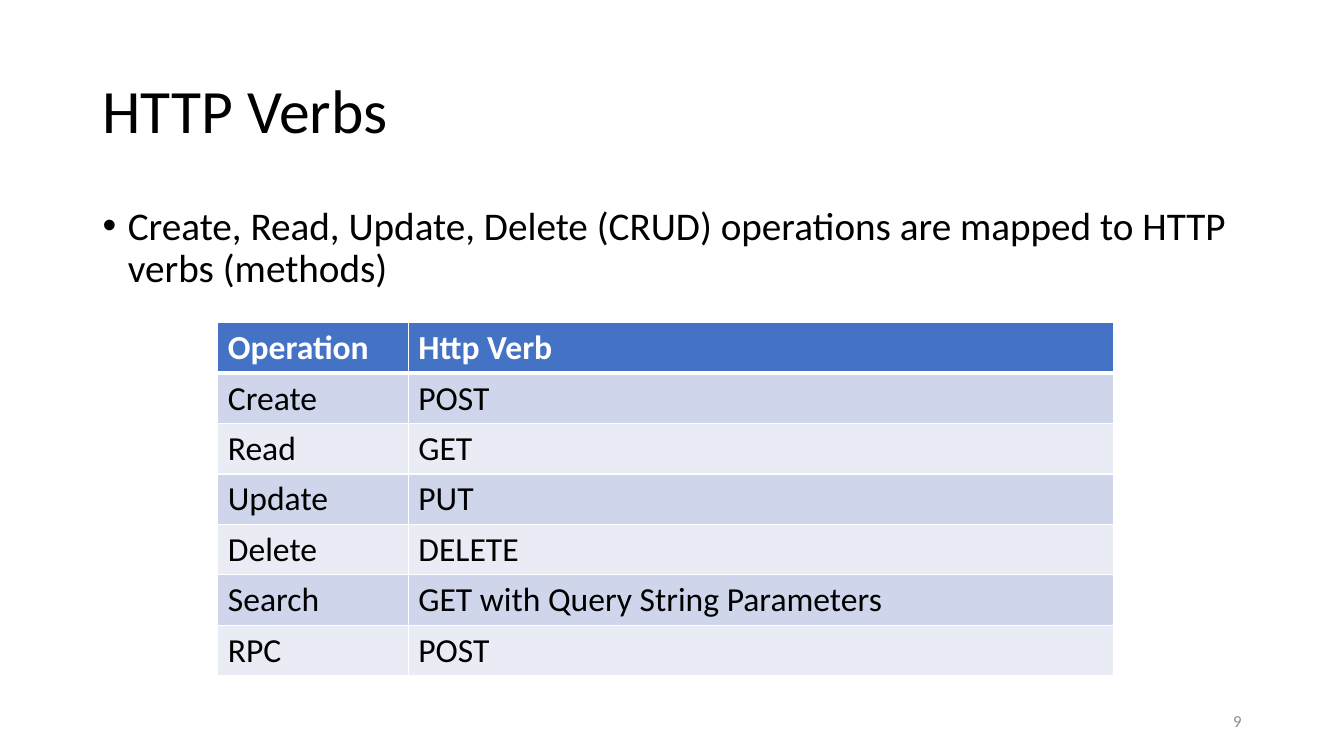
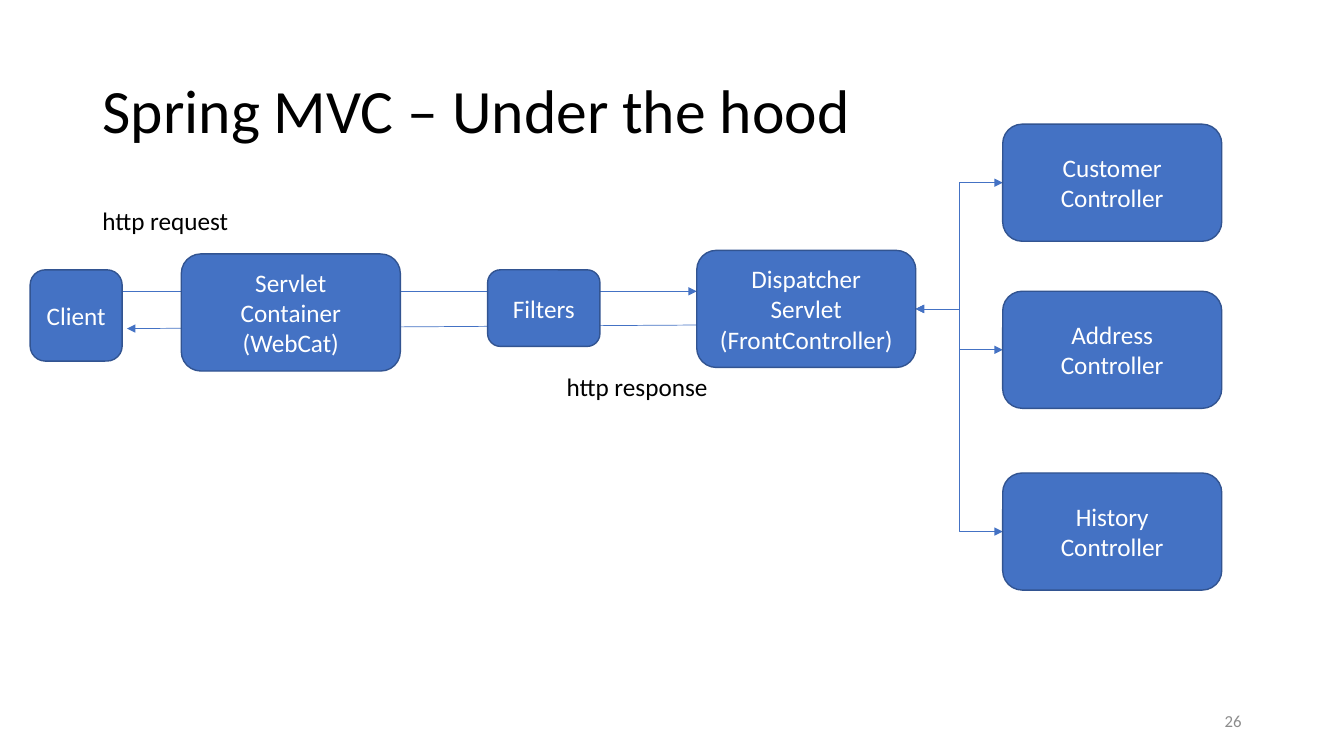
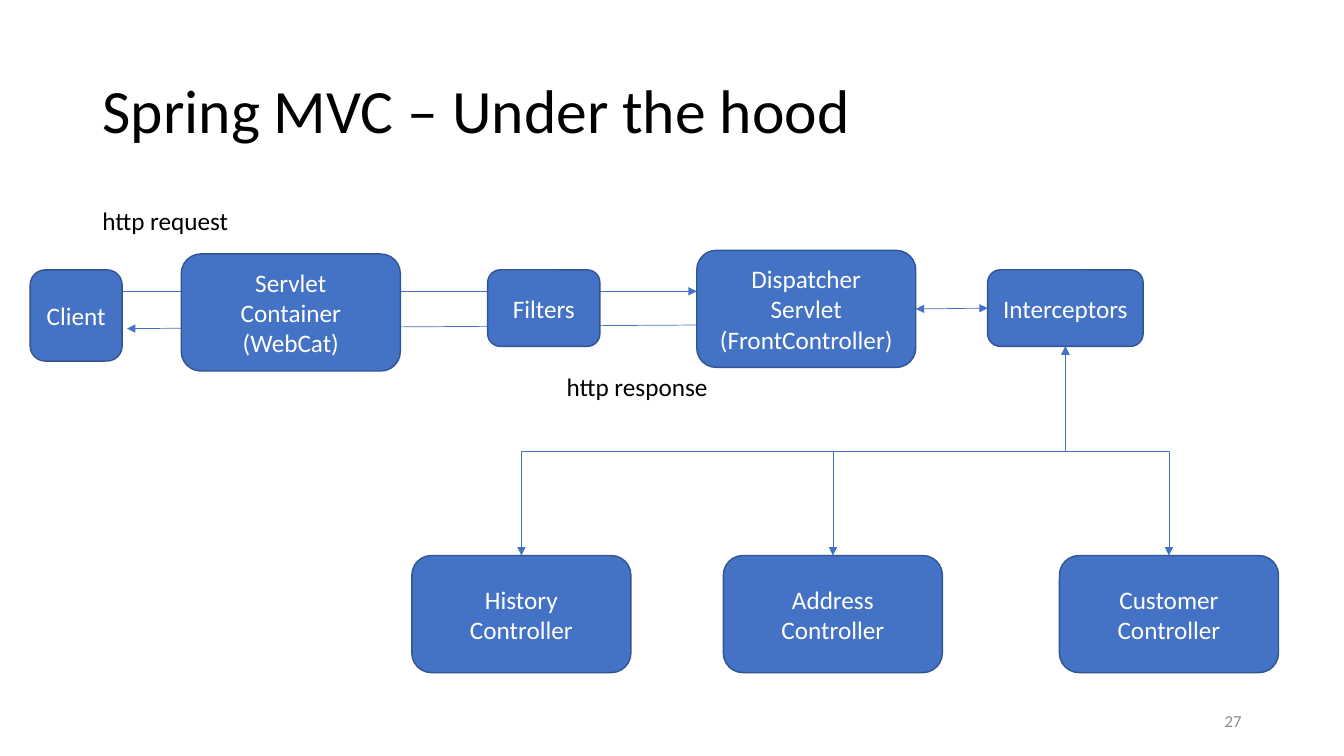
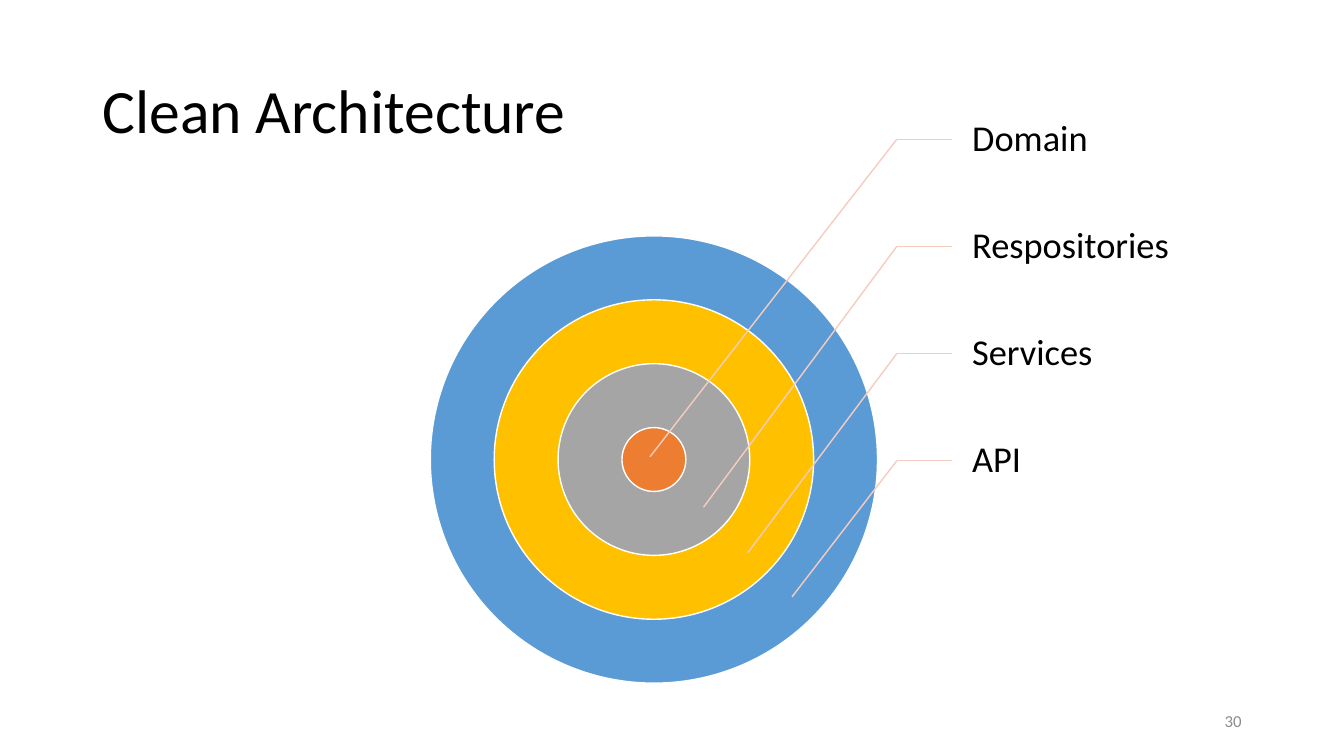
from dataclasses import dataclass
from typing import Any, NamedTuple

from lxml.etree import SubElement
from pptx import Presentation
from pptx.dml.color import RGBColor
from pptx.enum.shapes import MSO_CONNECTOR as Link, MSO_SHAPE as Preset
from pptx.enum.text import MSO_ANCHOR as Anchor, MSO_AUTO_SIZE as AutoSize, PP_ALIGN as Align
from pptx.oxml.ns import qn
from pptx.util import Cm, Pt


# Theme
@dataclass(frozen=True)
class Theme:
    font: str = "Calibri"
    text: str = "000000"
    white: str = "FFFFFF"
    muted: str = "8C8C8C"
    accent: str = "4472C4"
    outline: str = "325491"
    leader: str = "F6CCBE"
    bands: tuple[str, ...] = ("CFD5EA", "E9EBF5")
    rings: tuple[str, ...] = ("ED7D31", "A5A5A5", "FFC000", "5B9BD5")
    title_size: int = 44
    body_size: int = 28
    callout_size: int = 26
    table_size: int = 24
    label_size: int = 18
    number_size: int = 12


THEME = Theme()
LAYOUT_CONTENT, LAYOUT_TITLE = 1, 5


# Elements, with lengths in centimetres
class Point(NamedTuple):
    x: float
    y: float


@dataclass(frozen=True)
class Box:
    left: float
    top: float
    width: float
    height: float
    text: str = ""

    def edge(self, across: float, down: float) -> Point:
        """Point at the given fractions of the width and height."""
        return Point(self.left + across * self.width, self.top + down * self.height)

    def lengths(self) -> tuple[Cm, ...]:
        return tuple(Cm(v) for v in (self.left, self.top, self.width, self.height))


@dataclass(frozen=True)
class Line:
    start: Point
    end: Point
    head: bool = False
    tail: bool = False
    bend: str = ""  # "across" or "down": direction of the first leg
    color: str = THEME.accent
    width: float = 0.5


# Formatting helpers
def rgb(value: str) -> RGBColor:
    return RGBColor.from_string(value)


def assign(target: Any, values: dict[str, Any]) -> None:
    for name, value in values.items():
        setattr(target, name, value)


def format_text(tf: Any, size: float, color: str = THEME.text, bold: bool = False,
                paragraph: dict[str, Any] | None = None) -> None:
    for p in tf.paragraphs:
        assign(p, paragraph or {})
        for r in p.runs:
            assign(r.font, {"name": THEME.font, "size": Pt(size), "bold": bold})
            r.font.color.rgb = rgb(color)


def fill_placeholder(sp: Any, box: Box, size: float, frame: dict[str, Any],
                     paragraph: dict[str, Any]) -> None:
    assign(sp, dict(zip(("left", "top", "width", "height"), box.lengths())))
    tf = sp.text_frame
    tf.text = box.text
    assign(tf, {"auto_size": AutoSize.NONE, "word_wrap": True, **frame})
    format_text(tf, size, paragraph={"alignment": Align.LEFT, "line_spacing": 0.9, **paragraph})


def add_text(s: Any, box: Box, size: float, color: str = THEME.text,
             frame: dict[str, Any] | None = None,
             paragraph: dict[str, Any] | None = None) -> None:
    tf = s.shapes.add_textbox(*box.lengths()).text_frame
    tf.text = box.text
    assign(tf, {"word_wrap": True, **(frame or {})})
    format_text(tf, size, color, paragraph=paragraph)


def add_preset(s: Any, preset: Any, box: Box, fill: str, outline: str) -> None:
    sp = s.shapes.add_shape(preset, *box.lengths())
    sp.shadow.inherit = False
    sp.fill.solid()
    sp.fill.fore_color.rgb = rgb(fill)
    sp.line.color.rgb = rgb(outline)
    sp.line.width = Pt(1)
    tf = sp.text_frame
    tf.text = box.text
    tf.vertical_anchor = Anchor.MIDDLE
    format_text(tf, THEME.label_size, THEME.white, paragraph={"alignment": Align.CENTER})


def add_line(s: Any, line: Line) -> None:
    start, end, turn = line.start, line.end, 0
    if line.bend == "down":
        # A downward first leg is an elbow laid on its side, then turned
        dx, dy = end.x - start.x, end.y - start.y
        mid = Point((start.x + end.x) / 2, (start.y + end.y) / 2)
        side = 1 if dx < 0 else -1
        start = Point(mid.x - side * dy / 2, mid.y - abs(dx) / 2)
        end = Point(mid.x + side * dy / 2, mid.y + abs(dx) / 2)
        turn = 90 if dx < 0 else 270
    kind = Link.ELBOW if line.bend else Link.STRAIGHT
    c = s.shapes.add_connector(kind, *(Cm(v) for v in (*start, *end)))
    c.line.color.rgb = rgb(line.color)
    c.line.width = Pt(line.width)
    props = c._element.spPr
    if turn:
        props.find(qn("a:xfrm")).set("rot", str(turn * 60000))
    for tag, shown in (("a:headEnd", line.head), ("a:tailEnd", line.tail)):
        if shown:
            SubElement(props.find(qn("a:ln")), qn(tag), type="triangle")
    SubElement(props, qn("a:effectLst"))


def add_borders(cell: Any, widths: dict[str, float]) -> None:
    props = cell._tc.get_or_add_tcPr()
    for side, width in widths.items():
        ln = SubElement(props, qn(f"a:ln{side}"), w=str(Pt(width)))
        SubElement(SubElement(ln, qn("a:solidFill")), qn("a:srgbClr"), val=THEME.white)


# Shared slide frame
prs = Presentation()
prs.slide_width, prs.slide_height = Cm(33.87), Cm(19.05)


def new_slide(title: str, number: int, layout: int = LAYOUT_TITLE) -> Any:
    s = prs.slides.add_slide(prs.slide_layouts[layout])
    fill_placeholder(s.shapes.title, Box(2.33, 1.01, 29.21, 3.68, title), THEME.title_size,
                     {"vertical_anchor": Anchor.MIDDLE}, {})
    add_text(s, Box(23.92, 17.66, 7.62, 1.01, str(number)), THEME.number_size, THEME.muted,
             {"vertical_anchor": Anchor.MIDDLE}, {"alignment": Align.RIGHT})
    return s


# HTTP verbs table
VERBS = (
    ("Operation", "Http Verb"),
    ("Create", "POST"),
    ("Read", "GET"),
    ("Update", "PUT"),
    ("Delete", "DELETE"),
    ("Search", "GET with Query String Parameters"),
    ("RPC", "POST"),
)
VERB_COLUMNS = (4.8, 17.78)
VERB_ROW = 1.27


def build_verbs() -> None:
    s = new_slide("HTTP Verbs", 9, LAYOUT_CONTENT)
    intro = Box(2.33, 5.08, 29.21, 2.84, "Create, Read, Update, Delete (CRUD) operations "
                "are mapped to HTTP verbs (methods)")
    body = s.placeholders[1]
    fill_placeholder(body, intro, THEME.body_size, {"vertical_anchor": Anchor.TOP},
                     {"space_before": Pt(10)})
    indent = Cm(0.64)
    props = body.text_frame.paragraphs[0]._p.get_or_add_pPr()
    props.set("marL", str(indent))
    props.set("indent", str(-indent))
    SubElement(props, qn("a:buChar"), char="•")

    area = Box(5.49, 8.13, sum(VERB_COLUMNS), VERB_ROW * len(VERBS))
    table = s.shapes.add_table(len(VERBS), len(VERB_COLUMNS), *area.lengths()).table
    for column, width in zip(table.columns, VERB_COLUMNS):
        column.width = Cm(width)
    for i, row in enumerate(VERBS):
        header = i == 0
        fill = THEME.accent if header else THEME.bands[(i - 1) % 2]
        for j, text in enumerate(row):
            cell = table.cell(i, j)
            cell.text = text
            add_borders(cell, {"L": 1, "R": 1, "T": 3 if i == 1 else 1, "B": 3 if header else 1})
            cell.fill.solid()
            cell.fill.fore_color.rgb = rgb(fill)
            format_text(cell.text_frame, THEME.table_size,
                        THEME.white if header else THEME.text, bold=header)


# Request flow
LARGE = (5.52, 2.95)
CLIENT = Box(0.76, 6.8, 2.32, 2.3, "Client")
CONTAINER = Box(4.57, 6.4, *LARGE, "Servlet\nContainer\n(WebCat)")
FILTERS = Box(12.29, 6.8, 2.83, 1.93, "Filters")
DISPATCHER = Box(17.56, 6.31, *LARGE, "Dispatcher\nServlet\n(FrontController)")
INTERCEPTORS = Box(24.89, 6.8, 3.92, 1.93, "Interceptors")
FLOW_LABELS = (Box(2.33, 5.06, 3.73, 1.03, "http request"),
               Box(14.03, 9.22, 4.11, 1.03, "http response"))
FLOW_LINES = (Line(Point(3.08, 7.34), Point(17.56, 7.34), tail=True),
              Line(Point(17.56, 8.19), Point(3.2, 8.28), tail=True))


def controllers(corners: tuple[Point, ...]) -> list[Box]:
    names = ("Customer", "Address", "History")
    return [Box(*corner, *LARGE, f"{name}\nController") for name, corner in zip(names, corners)]


def build_flow(number: int, boxes: list[Box], lines: list[Line]) -> None:
    s = new_slide("Spring MVC – Under the hood", number)
    for line in (*FLOW_LINES, *lines):
        add_line(s, line)
    for box in (CLIENT, CONTAINER, FILTERS, DISPATCHER, *boxes):
        add_preset(s, Preset.ROUNDED_RECTANGLE, box, THEME.accent, THEME.outline)
    for label in FLOW_LABELS:
        add_text(s, label, THEME.label_size, frame={"word_wrap": False})


def build_direct_flow() -> None:
    targets = controllers(tuple(Point(25.27, y) for y in (3.13, 7.34, 11.92)))
    build_flow(26, targets, [
        Line(DISPATCHER.edge(1, 0.5), box.edge(0, 0.5), True, True, "across") for box in targets])


def build_intercepted_flow() -> None:
    targets = controllers(tuple(Point(x, 14) for x in (26.7, 18.23, 10.38)))
    lines = [Line(INTERCEPTORS.edge(0.5, 1), box.edge(0.5, 0), True, True, "down")
             for box in targets]
    lines.append(Line(DISPATCHER.edge(1, 0.5), INTERCEPTORS.edge(0, 0.5), True, True))
    build_flow(27, [INTERCEPTORS, *targets], lines)


# Clean architecture rings
RING_CENTER = Point(16.48, 11.58)
RING_STEP = 3.22
CALLOUT_TOP, CALLOUT_STEP = 2.16, 2.7
BEND_X, CALLOUT_X = 22.6, 24
CALLOUTS = (
    ("Domain", Point(16.38, 11.51)),
    ("Respositories", Point(17.73, 12.78)),
    ("Services", Point(18.85, 13.92)),
    ("API", Point(19.96, 15.04)),
)


def build_architecture() -> None:
    s = new_slide("Clean Architecture", 30)
    for i, color in reversed(list(enumerate(THEME.rings))):
        size = RING_STEP * (i + 0.5)
        ring = Box(RING_CENTER.x - size / 2, RING_CENTER.y - size / 2, size, size)
        add_preset(s, Preset.OVAL, ring, color, THEME.white)
    insets = {"margin_left": Cm(0.5), "margin_right": Cm(0.1),
              "margin_top": Cm(0.1), "margin_bottom": Cm(0.1)}
    for i, (name, target) in enumerate(CALLOUTS):
        label = Box(CALLOUT_X, CALLOUT_TOP + i * CALLOUT_STEP, 5.64, CALLOUT_STEP, name)
        bend = Point(BEND_X, label.edge(0, 0.5).y)
        add_text(s, label, THEME.callout_size, paragraph={"line_spacing": 0.9},
                 frame={"vertical_anchor": Anchor.MIDDLE, **insets})
        for end in (label.edge(0, 0.5), target):
            add_line(s, Line(bend, end, color=THEME.leader, width=1))


build_verbs()
build_direct_flow()
build_intercepted_flow()
build_architecture()
prs.save("out.pptx")
